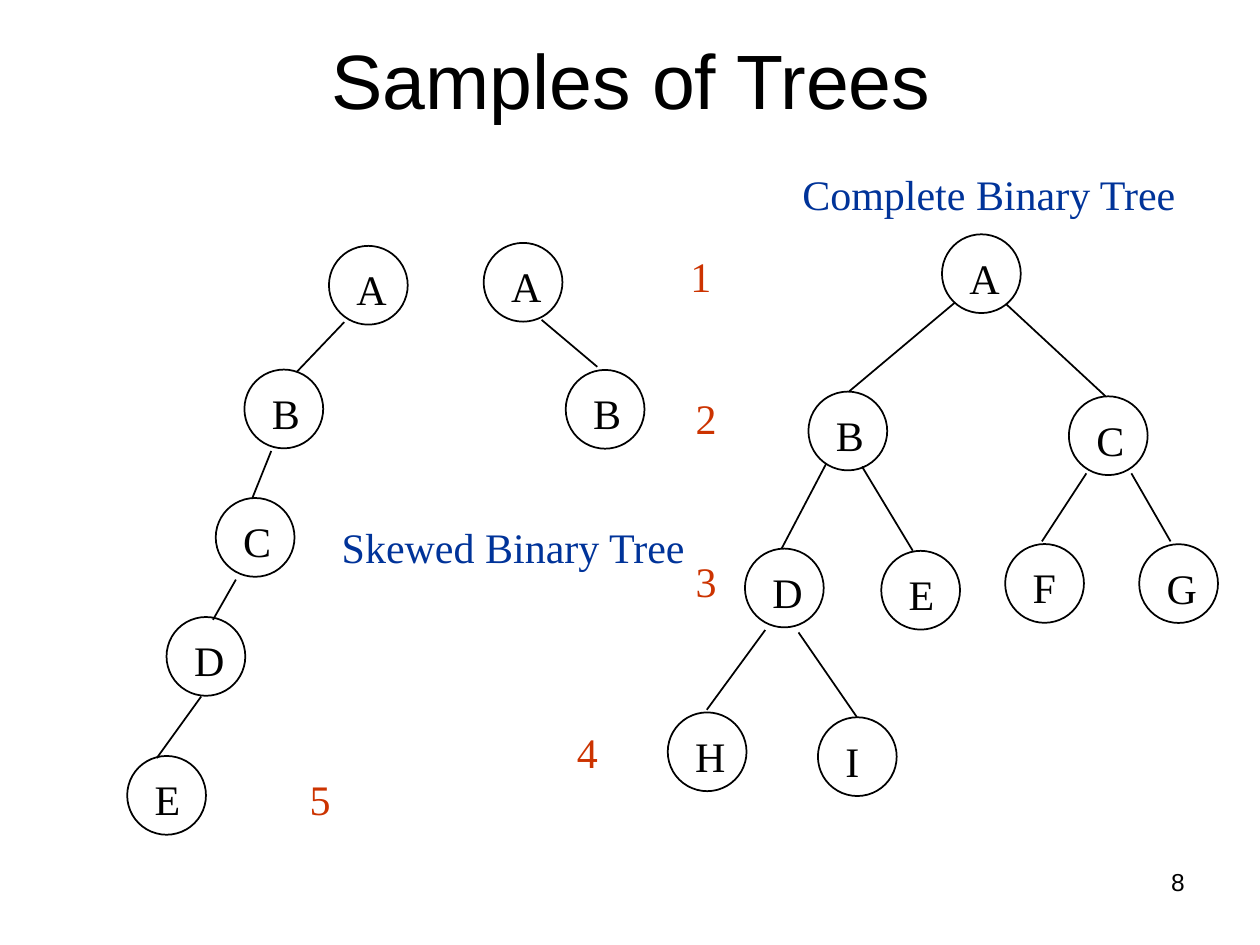
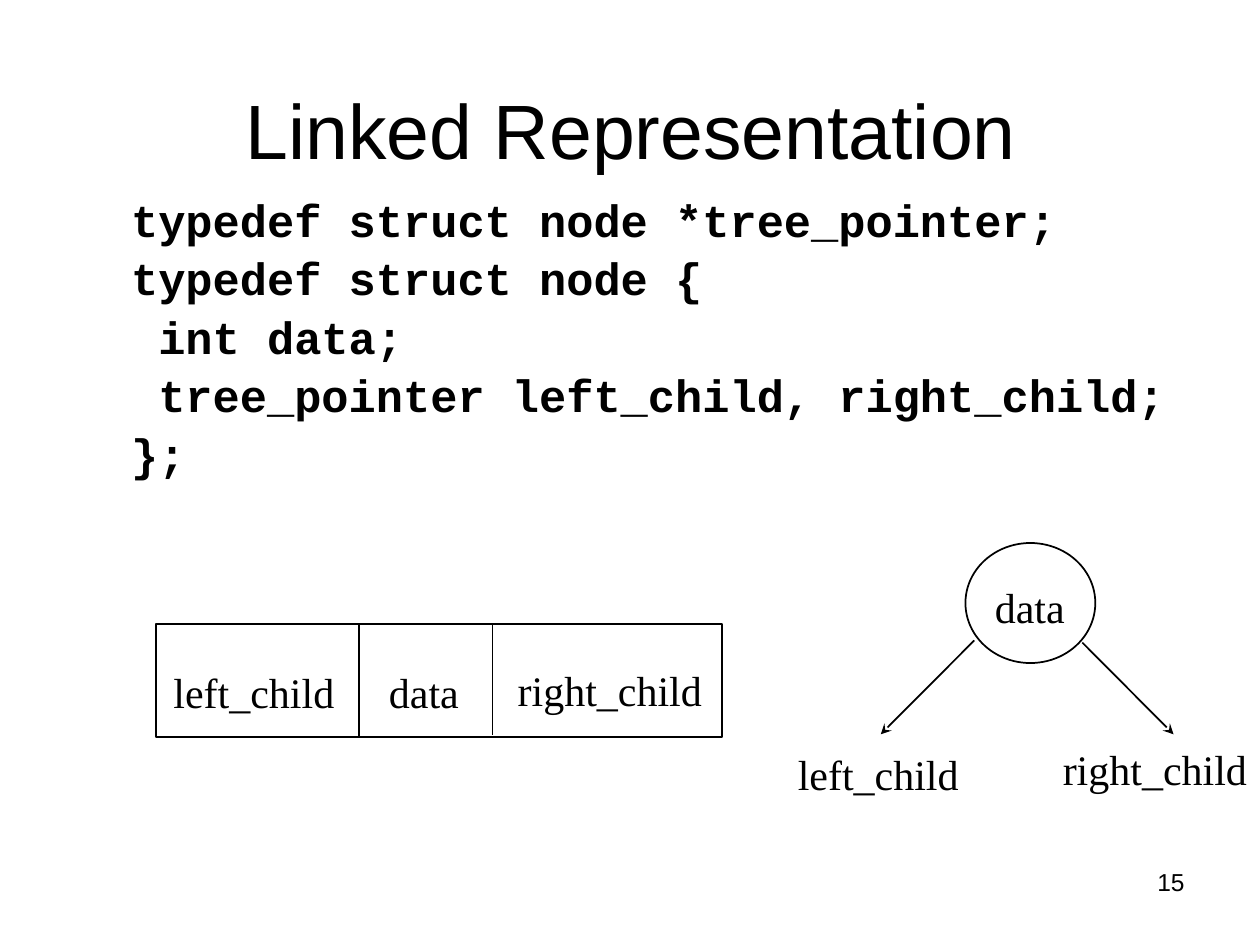
from dataclasses import dataclass

from lxml import etree
from pptx import Presentation
from pptx import util as u
from pptx.dml import color
from pptx.enum import shapes, text
from pptx.oxml import ns

Pt = u.Pt
HUES = {"ink": "000000", "blue": "003399", "red": "CC3300"}
SERIF, SANS, MONO = "Times New Roman", "Arial", "Courier New"
NODE = 45


@dataclass
class Label:
    words: str
    left: float
    top: float
    width: float = 27
    hue: str = "ink"


@dataclass
class Node:
    name: str
    left: float
    top: float


@dataclass
class Edge:
    x1: float
    y1: float
    x2: float
    y2: float
    arrow: bool = False


NODES = [
    Node("A", 188, 140.5), Node("B", 139.7, 211.2), Node("C", 123.3, 284.6),
    Node("D", 95.2, 352.6), Node("E", 72.7, 432),
    Node("A", 276.4, 138.8), Node("B", 323.3, 211.4),
    Node("A", 538.3, 133.9), Node("B", 462, 223.8), Node("C", 610.8, 226.5),
    Node("D", 425.7, 313.5), Node("E", 503.6, 314.8),
    Node("F", 574.4, 310.9), Node("G", 651, 311),
    Node("H", 381.6, 407.1), Node("I", 467.4, 409.9),
]
EDGES = [
    Edge(196.7, 184.1, 169.7, 212.4), Edge(155, 257.7, 144.2, 284.6),
    Edge(134.8, 331.2, 121.7, 354.2), Edge(115, 398, 89.6, 433.2),
    Edge(309.5, 182.8, 341.3, 209.6),
    Edge(545.8, 172.8, 485.3, 223.6), Edge(575.2, 174, 631.7, 226.4),
    Edge(472, 265.2, 446.7, 313.4), Edge(492.6, 266.6, 521.6, 314.7),
    Edge(620.8, 270.5, 595.4, 309.4), Edge(646.5, 270.5, 668.9, 309.4),
    Edge(437.3, 360, 403.9, 405.6), Edge(456.3, 361.4, 489.6, 409.7),
]
NOTES = [
    Label("Complete Binary Tree", 451.4, 93, 230, "blue"),
    Label("Skewed Binary Tree", 188.2, 294.5, 213, "blue"),
    Label("1", 387.4, 139.8, hue="red"), Label("2", 390.4, 221, hue="red"),
    Label("3", 390.4, 314, hue="red"), Label("4", 322.6, 411.5, hue="red"),
    Label("5", 169.8, 438.6, hue="red"),
]
CODE = [
    "typedef struct node *tree_pointer;",
    "typedef struct node {",
    " int data;",
    " tree_pointer left_child, right_child;",
    "};",
]
FIELDS = [
    Label("left_child", 92, 377.6, 107), Label("data", 215.2, 377.6, 55),
    Label("right_child", 288.7, 376.2, 120), Label("data", 561.4, 328.7, 55),
    Label("left_child", 448.8, 424.2, 107), Label("right_child", 600.2, 421.2, 120),
]
LINKS = [
    Edge(205.2, 357, 205.2, 421.5), Edge(281.4, 357, 281.4, 420.2),
    Edge(556.7, 366, 503.3, 419.6, True), Edge(618.5, 367.2, 670.6, 419.6, True),
]


def style(para, face: str, size: float, hue: str = "ink", bold: bool = False) -> None:
    font = para.font
    font.name, font.size, font.bold = face, Pt(size), bold
    font.color.rgb = color.RGBColor.from_string(HUES[hue])


def place(shape, left: float, top: float, width: float, height: float) -> None:
    shape.left, shape.top = Pt(left), Pt(top)
    shape.width, shape.height = Pt(width), Pt(height)


def start(deck, layout: int, title: str, top: float, number: int):
    slide = deck.slides.add_slide(deck.slide_layouts[layout])
    head = slide.shapes.title
    place(head, 0, top, 721.4, 90)
    frame = head.text_frame
    frame.text = title
    frame.auto_size = text.MSO_AUTO_SIZE.NONE
    frame.vertical_anchor = text.MSO_ANCHOR.MIDDLE
    para = frame.paragraphs[0]
    para.alignment = text.PP_ALIGN.CENTER
    style(para, SANS, 44)
    box = slide.shapes.add_textbox(Pt(516), Pt(491.8), Pt(168), Pt(37.4))
    box.text_frame.word_wrap = True
    para = box.text_frame.paragraphs[0]
    para.text = str(number)
    para.alignment = text.PP_ALIGN.RIGHT
    style(para, SANS, 14)
    return slide


def write(tree, label: Label) -> None:
    box = tree.add_textbox(Pt(label.left), Pt(label.top), Pt(label.width), Pt(36))
    box.text_frame.word_wrap = True
    para = box.text_frame.paragraphs[0]
    para.text = label.words
    style(para, SERIF, 24, label.hue)


def ink(line) -> None:
    line.color.rgb = color.RGBColor.from_string(HUES["ink"])
    line.width = Pt(1)


def frame(tree, kind, left: float, top: float, width: float, height: float) -> None:
    shape = tree.add_shape(kind, Pt(left), Pt(top), Pt(width), Pt(height))
    shape.shadow.inherit = False
    shape.fill.background()
    ink(shape.line)


def draw(tree, node: Node) -> None:
    group = tree.add_group_shape().shapes
    frame(group, shapes.MSO_SHAPE.OVAL, node.left, node.top, NODE, NODE)
    write(group, Label(node.name, node.left + 8.6, node.top + 6.7, 32))


def join(tree, edge: Edge) -> None:
    line = tree.add_connector(shapes.MSO_CONNECTOR.STRAIGHT, Pt(edge.x1), Pt(edge.y1),
                              Pt(edge.x2), Pt(edge.y2))
    ink(line.line)
    props = line._element.spPr
    if edge.arrow:
        etree.SubElement(props.find(ns.qn("a:ln")), ns.qn("a:tailEnd"), type="stealth")
    etree.SubElement(props, ns.qn("a:effectLst"))


def list_code(body) -> None:
    place(body, 67.7, 110.9, 721.4, 187.9)
    body.text_frame.text = "\n".join(CODE)
    body.text_frame.auto_size = text.MSO_AUTO_SIZE.NONE
    for para in body.text_frame.paragraphs:
        para.line_spacing = 0.85
        para.space_before = Pt(7)
        style(para, MONO, 25.9, bold=True)
        props = para._p.get_or_add_pPr()
        props.set("marL", str(Pt(27)))
        props.set("indent", str(Pt(-27)))
        props.insert_element_before(etree.Element(ns.qn("a:buNone")),
                                    "a:tabLst", "a:defRPr", "a:extLst")


def show_trees(deck) -> None:
    tree = start(deck, 5, "Samples of Trees", 0, 8).shapes
    for node in NODES:
        draw(tree, node)
    for edge in EDGES:
        join(tree, edge)
    for note in NOTES:
        write(tree, note)


def show_links(deck) -> None:
    slide = start(deck, 1, "Linked Representation", 28.8, 15)
    list_code(slide.placeholders[1])
    tree = slide.shapes
    frame(tree, shapes.MSO_SHAPE.RECTANGLE, 89.3, 356.4, 323.2, 64.8)
    frame(tree, shapes.MSO_SHAPE.OVAL, 551.7, 310.3, 74.2, 68.6)
    for link in LINKS:
        join(tree, link)
    for field in FIELDS:
        write(tree, field)


def main() -> None:
    deck = Presentation()
    deck.slide_width, deck.slide_height = Pt(720), Pt(540)
    show_trees(deck)
    show_links(deck)
    deck.save("out.pptx")


if __name__ == "__main__":
    main()
